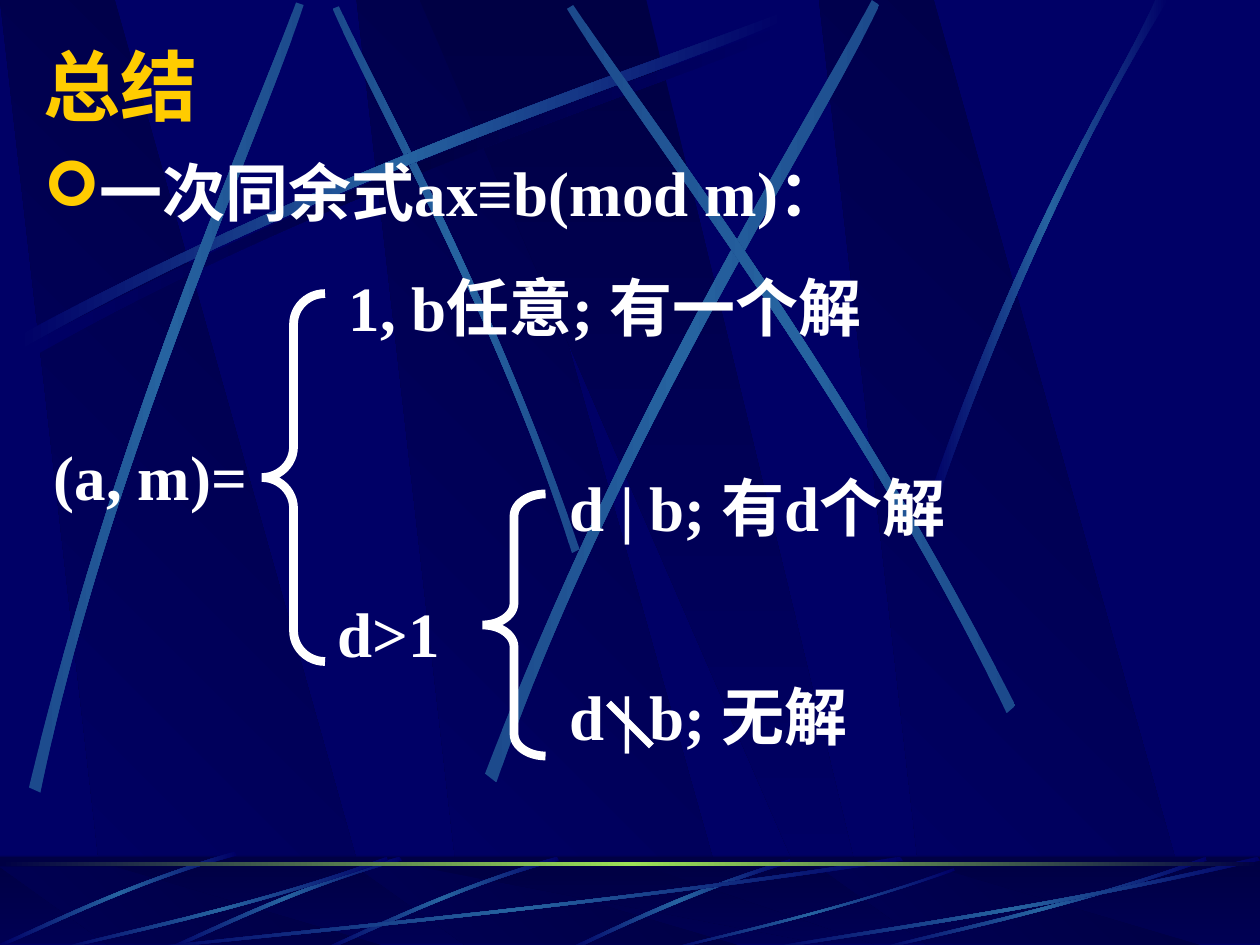
from typing import NamedTuple

from lxml.etree import SubElement
from pptx import Presentation
from pptx.dml.color import RGBColor
from pptx.enum.shapes import MSO_CONNECTOR, MSO_SHAPE
from pptx.enum.text import MSO_ANCHOR
from pptx.oxml.ns import qn
from pptx.util import Pt

EMU_PER_PX = 9144


class Box(NamedTuple):
    left: int
    top: int
    width: int
    height: int

    def inner(self, left, top, width, height):
        return Box(self.left + left, self.top + top, width, height)


class Theme:
    night, dark, streak, steady = "000066", "000044", "2663A0", "1C4A8C"
    glow, gold, white = "9CE157", "FFCC00", "FFFFFF"
    title = {"size": Pt(44), "name": "Montserrat", "bold": True}
    body = {"size": Pt(36), "name": "Times New Roman", "bold": True}
    panel_fade = (dark, night)
    shade_fade = (night, dark, night)
    streak_fade = (night, streak, night)
    steady_fade = (steady, streak, steady)
    rule_fade = (dark, glow, dark)


PAGE = Box(0, 0, 1000, 750)
RISING = ((14, 267), (278, 125), (518, 51), (620, 10),
          (623, 16), (522, 61), (248, 143), (17, 277))
SHORT_STREAK = ((442, 0), (355, 25), (287, 60), (256, 73),
                (257, 75), (288, 63), (365, 23), (444, 3))
WIDE_STREAK = ((308, 3), (193, 43), (88, 64), (43, 75),
               (42, 74), (86, 61), (206, 38), (307, 0))
STEADY_STREAKS = (
    ((460, 436), (391, 234), (302, 77), (269, 5),
     (264, 7), (295, 79), (398, 258), (454, 439)),
    ((23, 625), (93, 334), (197, 105), (235, 2),
     (241, 4), (207, 108), (86, 368), (32, 629)),
    ((385, 614), (498, 320), (638, 102), (692, 0),
     (698, 4), (649, 108), (486, 355), (394, 621)),
    ((806, 560), (670, 293), (516, 95), (455, 4),
     (450, 7), (507, 101), (685, 325), (799, 566)),
)
FADING_STREAK = ((738, 393), (814, 173), (888, 66), (917, 0),
                 (927, 0), (836, 145), (769, 322), (744, 397))
FOOTER_STREAKS = (
    (((627, 2), (537, 29), (477, 62), (448, 74),
      (453, 75), (490, 57), (571, 20), (628, 5)), 0, 0),
    (SHORT_STREAK, 0, 0),
    (SHORT_STREAK, -125, 0),
    (SHORT_STREAK, -256, -4),
    (((717, 3), (449, 43), (206, 64), (103, 75),
      (100, 74), (202, 61), (480, 38), (714, 0)), 0, 0),
    (WIDE_STREAK, 0, 0),
    (((758, 11), (658, 46), (567, 65), (528, 75),
      (527, 74), (565, 63), (669, 42), (757, 9)), 0, 0),
    (WIDE_STREAK, 650, 0),
    (((1000, 3), (827, 43), (669, 64), (602, 75),
      (600, 74), (666, 61), (846, 38), (998, 0)), 0, 0),
)


def emu(*lengths):
    return [round(length * EMU_PER_PX) for length in lengths]


def set_values(target, values):
    for name, value in values.items():
        setattr(target, name, value)


def fill_gradient(shape, colors, angle):
    shape.shadow.inherit = False
    shape.line.fill.background()
    shape.fill.gradient()
    shape.fill.gradient_angle = (360 - angle) % 360
    stops = shape._element.spPr.find(".//" + qn("a:gsLst"))
    for stop in list(stops):
        stops.remove(stop)
    for index, color in enumerate(colors):
        position = round(100000 * index / (len(colors) - 1))
        stop = SubElement(stops, qn("a:gs"), pos=str(position))
        SubElement(stop, qn("a:srgbClr"), val=color)


def add_outline(page, box, points, colors, angle):
    corners = [emu(box.left + x, box.top + y) for x, y in points]
    builder = page.shapes.build_freeform(*corners[0], scale=1.0)
    builder.add_line_segments(corners[1:], close=True)
    shape = builder.convert_to_shape()
    fill_gradient(shape, colors, angle)
    return shape


def add_streak(page, box, points, colors, dx=0, dy=0):
    shape = add_outline(page, box.inner(dx, dy, 0, 0), points, colors, 180)
    lines = shape._element.spPr.findall(".//" + qn("a:lnTo"))
    for first, second, last in (lines[0:3], lines[4:7]):
        first.tag = qn("a:cubicBezTo")
        for line in (second, last):
            first.append(line[0])
            line.getparent().remove(line)


def add_rectangle(page, box):
    shape = page.shapes.add_shape(MSO_SHAPE.RECTANGLE, *emu(*box))
    shape.shadow.inherit = False
    shape.line.fill.background()
    return shape


def add_panels(page, box):
    height = box.height
    for left in (283, 0, 650):
        slant = ((86, height), (302, height), (91, 0), (0, 0))
        add_outline(page, box.inner(left, 0, 0, 0), slant, Theme.panel_fade, 135)
    beam = ((333, 0), (658, height), (694, height), (513, 0))
    add_outline(page, box, beam, Theme.panel_fade, 90)


def add_backdrop(page, box):
    add_panels(page, box)
    add_streak(page, box, RISING, Theme.shade_fade, 6, 8)
    add_streak(page, box, STEADY_STREAKS[0], Theme.steady_fade)
    add_streak(page, box, RISING, Theme.streak_fade)
    for points in STEADY_STREAKS[1:]:
        add_streak(page, box, points, Theme.steady_fade)
    add_streak(page, box, FADING_STREAK, Theme.streak_fade)


def add_footer(page, box):
    fill_gradient(add_rectangle(page, box), Theme.panel_fade, 90)
    add_panels(page, box.inner(0, 8, box.width, box.height - 8))
    veil = add_rectangle(page, box.inner(0, -1, box.width, box.height))
    veil.fill.solid()
    veil.fill.fore_color.rgb = RGBColor.from_string(Theme.dark)
    color = veil._element.spPr.find(".//" + qn("a:srgbClr"))
    SubElement(color, qn("a:alpha"), val="50000")
    for points, dx, dy in FOOTER_STREAKS:
        add_streak(page, box, points, Theme.streak_fade, dx, dy)
    rule = add_rectangle(page, box.inner(0, 4, box.width, 3))
    fill_gradient(rule, Theme.rule_fade, 180)


def add_text(page, box, text, font, color, anchor=MSO_ANCHOR.TOP, bullet=None):
    frame = page.shapes.add_textbox(*emu(*box)).text_frame
    set_values(frame, {"word_wrap": True, "vertical_anchor": anchor})
    para = frame.paragraphs[0]
    if bullet:
        settings = para._p.get_or_add_pPr()
        settings.set("marL", str(38 * EMU_PER_PX))
        settings.set("indent", str(-38 * EMU_PER_PX))
        tint = SubElement(settings, qn("a:buClr"))
        SubElement(tint, qn("a:srgbClr"), val=Theme.gold)
        SubElement(settings, qn("a:buFont"), typeface="Wingdings", charset="2")
        SubElement(settings, qn("a:buChar"), char=bullet)
    span = para.add_run()
    span.text = text
    set_values(span.font, font)
    span.font.color.rgb = RGBColor.from_string(color)


def stroke(shape, width):
    shape.line.color.rgb = RGBColor.from_string(Theme.white)
    shape.line.width = Pt(width)


def add_brace(page, box):
    brace = page.shapes.add_shape(MSO_SHAPE.LEFT_BRACE, *emu(*box))
    brace.shadow.inherit = False
    brace.fill.background()
    brace.adjustments[0] = round(box.height / 12 / box.width, 2)
    stroke(brace, 5)
    SubElement(brace._element.spPr.find(qn("a:ln")), qn("a:bevel"))


def add_summary(page, box):
    add_text(page, box.inner(0, 0, 942, 84), "总结", Theme.title, Theme.gold,
             MSO_ANCHOR.MIDDLE)
    add_text(page, box.inner(0, 92, 950, 550), "一次同余式ax≡b(mod m)：",
             Theme.body, Theme.white, bullet="➢")


def add_cases(page, box):
    for text, place in (
        ("(a, m)=", (0, 134, 175, 70)),
        ("1, b任意; 有一个解", (234, 0, 492, 70)),
        ("d>1", (225, 259, 117, 70)),
        ("d | b; 有d个解", (409, 159, 333, 130)),
        ("d | b; 无解", (409, 325, 283, 70)),
    ):
        add_text(page, box.inner(*place), text, Theme.body, Theme.white)
    for place in ((175, 25, 50, 292), (350, 184, 50, 208)):
        add_brace(page, box.inner(*place))
    slash = box.inner(450, 350, 34, 34)
    ends = emu(slash.left, slash.top, slash.left + slash.width, slash.top + slash.height)
    strike = page.shapes.add_connector(MSO_CONNECTOR.STRAIGHT, *ends)
    stroke(strike, 4)
    SubElement(strike._element.spPr, qn("a:effectLst"))


def main():
    deck = Presentation()
    deck.slide_width, deck.slide_height = emu(PAGE.width, PAGE.height)
    page = deck.slides.add_slide(deck.slide_layouts[6])
    page.background.fill.solid()
    page.background.fill.fore_color.rgb = RGBColor.from_string(Theme.night)
    add_backdrop(page, PAGE)
    add_footer(page, PAGE.inner(0, 680, 1000, 70))
    add_summary(page, PAGE.inner(25, 25, 950, 642))
    add_cases(page, PAGE.inner(33, 208, 742, 395))
    deck.save("out.pptx")


if __name__ == "__main__":
    main()
